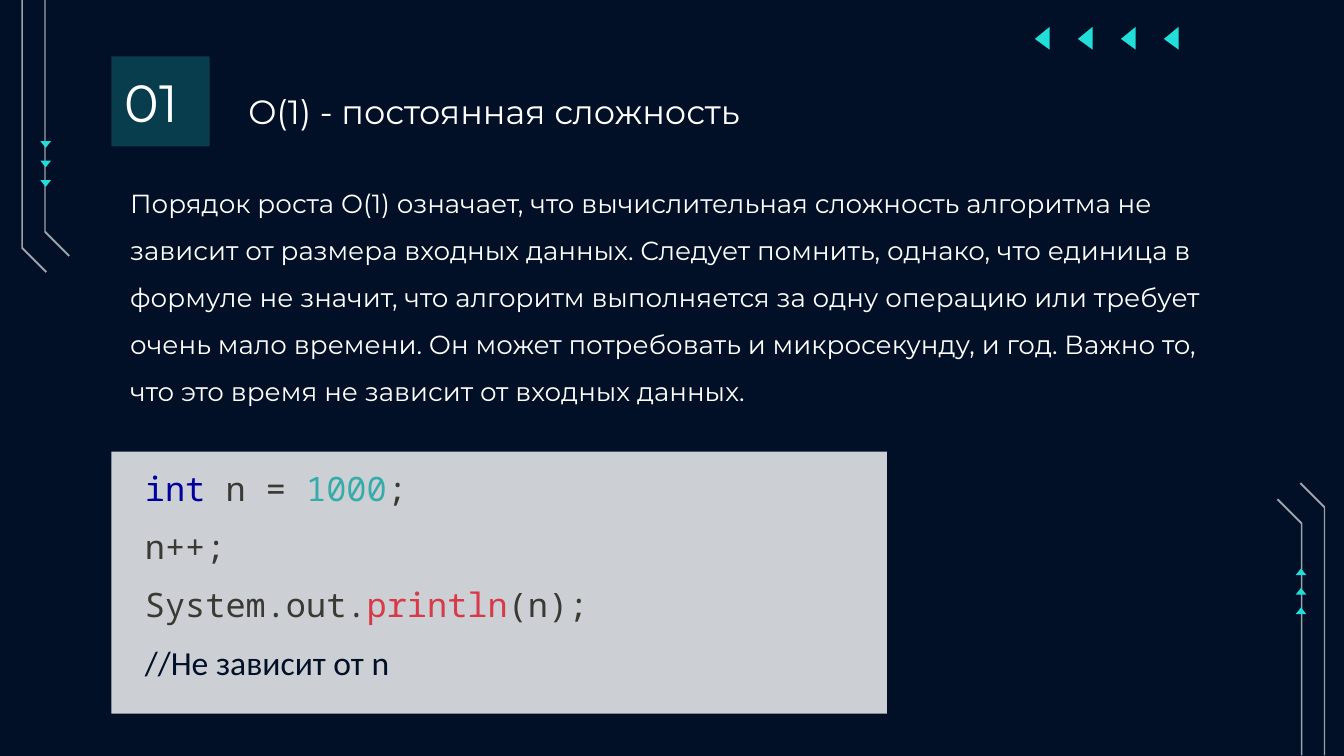
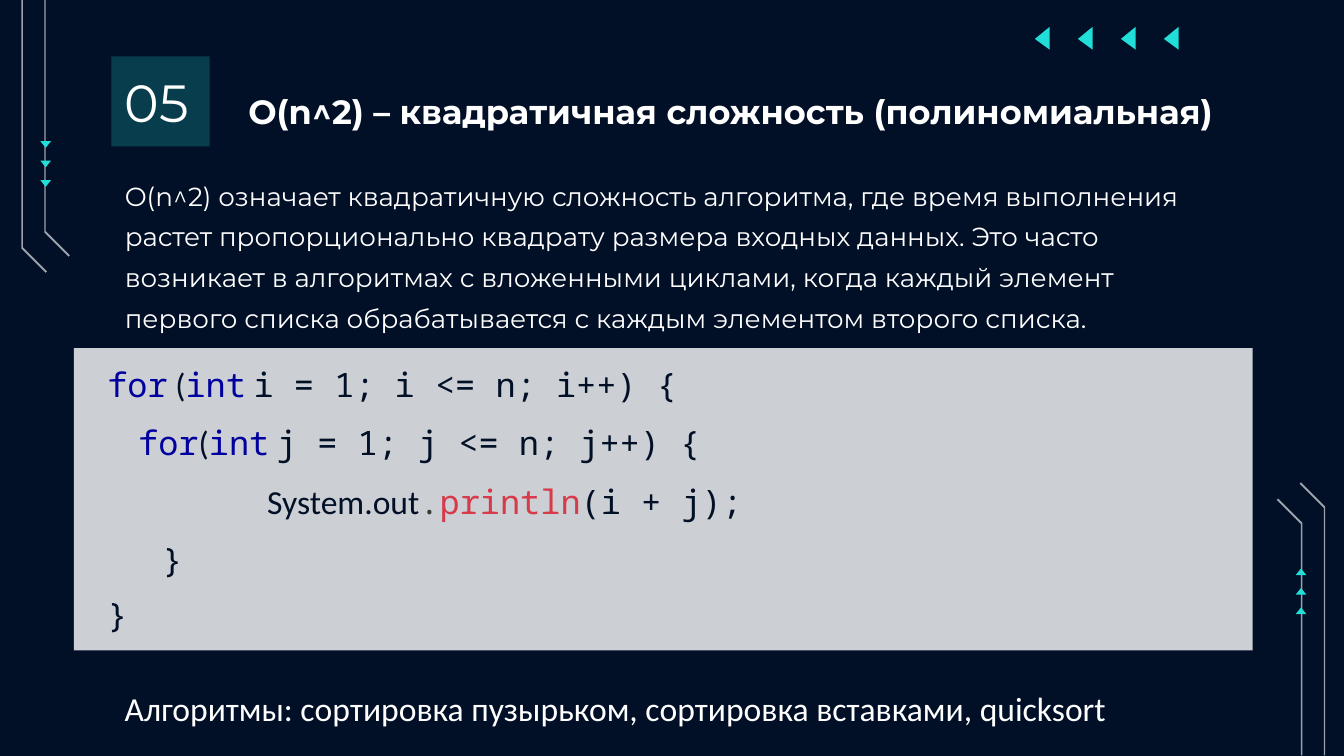
from lxml.etree import SubElement
from pptx import Presentation
from pptx.dml.color import RGBColor
from pptx.enum.shapes import MSO_SHAPE
from pptx.enum.text import MSO_ANCHOR, PP_ALIGN
from pptx.oxml.ns import qn
from pptx.util import Inches, Pt

NAVY = RGBColor(0x01, 0x10, 0x27)
CYAN = RGBColor(0x21, 0xDF, 0xD8)
WHITE = RGBColor(0xFF, 0xFF, 0xFF)
KEYWORD = RGBColor(0x00, 0x00, 0x9F)
CODE = RGBColor(0x39, 0x3A, 0x34)
NUMBER = RGBColor(0x36, 0xAC, 0xAA)
CALL = RGBColor(0xD7, 0x3A, 0x49)
HEADING, PLAIN, MONO = "Montserrat", "Calibri", "Noto Sans Mono"
CODE_START, HANGING = 0.15, 0.35

# Each code line is (start, line spacing, space after, runs); a run is (text, font, colour).
topics = [
    {
        "number": "01",
        "title": "O(1) - постоянная сложность",
        "bold": False,
        "body": "Порядок роста O(1) означает, что вычислительная сложность алгоритма не "
                "зависит от размера входных данных. Следует помнить, однако, что единица в "
                "формуле не значит, что алгоритм выполняется за одну операцию или требует "
                "очень мало времени. Он может потребовать и микросекунду, и год. Важно то, "
                "что это время не зависит от входных данных.",
        "body_box": (0.87, 1.18, 8.29, 2.08),
        "body_spacing": 1.5,
        "code_box": (0.83, 3.36, 5.77, 1.95),
        "code": [
            (CODE_START, 1.07, 8, [("int", MONO, KEYWORD), (" n = ", MONO, CODE),
                                   ("1000", MONO, NUMBER), (";", MONO, CODE)]),
            (CODE_START, 1.07, 8, [("n++;", MONO, CODE)]),
            (CODE_START, 1.07, 8, [("System.out.", MONO, CODE), ("println", MONO, CALL),
                                   ("(n);", MONO, CODE)]),
            (CODE_START, 1.07, 8, [("//Не зависит от n", PLAIN, NAVY)]),
        ],
        "examples": None,
    },
    {
        "number": "05",
        "title": "O(n^2) – квадратичная сложность (полиномиальная)",
        "bold": True,
        "body": "O(n^2) означает квадратичную сложность алгоритма, где время выполнения "
                "растет пропорционально квадрату размера входных данных. Это часто "
                "возникает в алгоритмах с вложенными циклами, когда каждый элемент "
                "первого списка обрабатывается с каждым элементом второго списка.",
        "body_box": (0.83, 1.17, 8.19, 1.54),
        "body_spacing": 1.3,
        "code_box": (0.55, 2.59, 8.77, 2.25),
        "code": [
            (CODE_START, 1.07, 8, [("for", MONO, KEYWORD), (" (", PLAIN, NAVY),
                                   ("int", MONO, KEYWORD), (" ", PLAIN, NAVY),
                                   ("i = 1; i <= n; i++) {", MONO, NAVY)]),
            (0.38, 1.07, 8, [("for", MONO, KEYWORD), ("(", PLAIN, NAVY),
                             ("int", MONO, KEYWORD), (" ", PLAIN, NAVY),
                             ("j = 1; j <= n; j++) {", MONO, NAVY)]),
            (1.34, 1.07, 8, [("System.out", PLAIN, NAVY), (".", MONO, CODE),
                             ("println", MONO, CALL), ("(i + j);", MONO, NAVY)]),
            (0.56, 1.07, 8, [("}", MONO, NAVY)]),
            (CODE_START, 1, 0, [("}", MONO, NAVY)]),
        ],
        "examples": "Алгоритмы: сортировка пузырьком, сортировка вставками, quicksort",
    },
]

# Decoration: outlines with fill colour and opacity in percent
ornaments = []
for column in range(4):
    left = 7.7 + 0.32 * column
    ornaments.append(([(left + 0.11, 0.37), (left + 0.11, 0.2), (left, 0.29)], CYAN, 100))

left_circuit = []
for x, bend in ((0.33, 1.72), (0.16, 1.84)):
    track = [(x, 0), (x + 0.01, 0), (x + 0.01, bend), (x + 0.19, bend + 0.18),
             (x + 0.18, bend + 0.19), (x, bend + 0.01)]
    left_circuit.append((track, WHITE, 61))
for row in range(3):
    top = 1.05 + 0.145 * row
    left_circuit.append(([(0.38, top), (0.3, top), (0.34, top + 0.05)], CYAN, 100))
ornaments += left_circuit
# The right circuit is the left one turned by half a circle
ornaments += [([(10.02 - x, 5.62 - y) for x, y in points], color, opacity)
              for points, color, opacity in left_circuit]


def paint(shape, color, opacity):
    """Fill the shape, with no line and no shadow."""
    shape.shadow.inherit = False
    shape.line.fill.background()
    shape.fill.solid()
    shape.fill.fore_color.rgb = color
    if opacity < 100:
        tint = shape._element.spPr.find(qn("a:solidFill"))[0]
        SubElement(tint, qn("a:alpha")).set("val", str(opacity * 1000))


def write(shape, lines, size, bold=False, anchor=MSO_ANCHOR.TOP, insets=(0.1, 0.1, 0.1, 0.1)):
    """Put lines into the shape; insets are left, top, right, bottom."""
    frame = shape.text_frame
    frame.word_wrap = True
    frame.vertical_anchor = anchor
    for side, inset in zip(("left", "top", "right", "bottom"), insets):
        setattr(frame, f"margin_{side}", Inches(inset))
    for index, (start, spacing, after, runs) in enumerate(lines):
        paragraph = frame.add_paragraph() if index else frame.paragraphs[0]
        layout = {"alignment": PP_ALIGN.LEFT, "line_spacing": spacing, "space_after": Pt(after)}
        for name, value in layout.items():
            setattr(paragraph, name, value)
        if start:
            properties = paragraph._p.get_or_add_pPr()
            properties.set("marL", str(Inches(start + HANGING)))
            properties.set("indent", str(-Inches(HANGING)))
        for text, font, color in runs:
            run = paragraph.add_run()
            run.text = text
            for name, value in {"name": font, "size": Pt(size), "bold": bold}.items():
                setattr(run.font, name, value)
            run.font.color.rgb = color


prs = Presentation()
prs.slide_width, prs.slide_height = Inches(10), Inches(5.625)

for topic in topics:
    slide = prs.slides.add_slide(prs.slide_layouts[6])
    slide.background.fill.solid()
    slide.background.fill.fore_color.rgb = NAVY
    shapes = slide.shapes

    for points, color, opacity in ornaments:
        corners = [(Inches(x), Inches(y)) for x, y in points]
        outline = shapes.build_freeform(*corners[0])
        outline.add_line_segments(corners[1:], close=True)
        paint(outline.convert_to_shape(), color, opacity)

    title = shapes.add_textbox(*map(Inches, (1.75, 0.45, 8.43, 0.63)))
    write(title, [(0, 1.07, 8, [(topic["title"], HEADING, WHITE)])], 18, topic["bold"],
          MSO_ANCHOR.MIDDLE, (0.1, 0.1, 0.1, 0))

    badge = shapes.add_shape(MSO_SHAPE.RECTANGLE, *map(Inches, (0.83, 0.42, 0.73, 0.67)))
    paint(badge, CYAN, 22)
    write(badge, [(0, 1, 0, [(topic["number"], HEADING, WHITE)])], 28,
          anchor=MSO_ANCHOR.MIDDLE, insets=(0.1, 0.1, 0, 0.1))

    body = shapes.add_textbox(*map(Inches, topic["body_box"]))
    write(body, [(0, topic["body_spacing"], 8, [(topic["body"], HEADING, WHITE)])], 14)

    listing = shapes.add_shape(MSO_SHAPE.RECTANGLE, *map(Inches, topic["code_box"]))
    paint(listing, WHITE, 80)
    write(listing, topic["code"], 18)

    if topic["examples"]:
        examples = shapes.add_textbox(*map(Inches, (0.83, 4.92, 8.34, 0.51)))
        write(examples, [(0, 1.5, 8, [(topic["examples"], PLAIN, WHITE)])], 18,
              insets=(0.1, 0.05, 0.1, 0.05))

prs.save("out.pptx")
